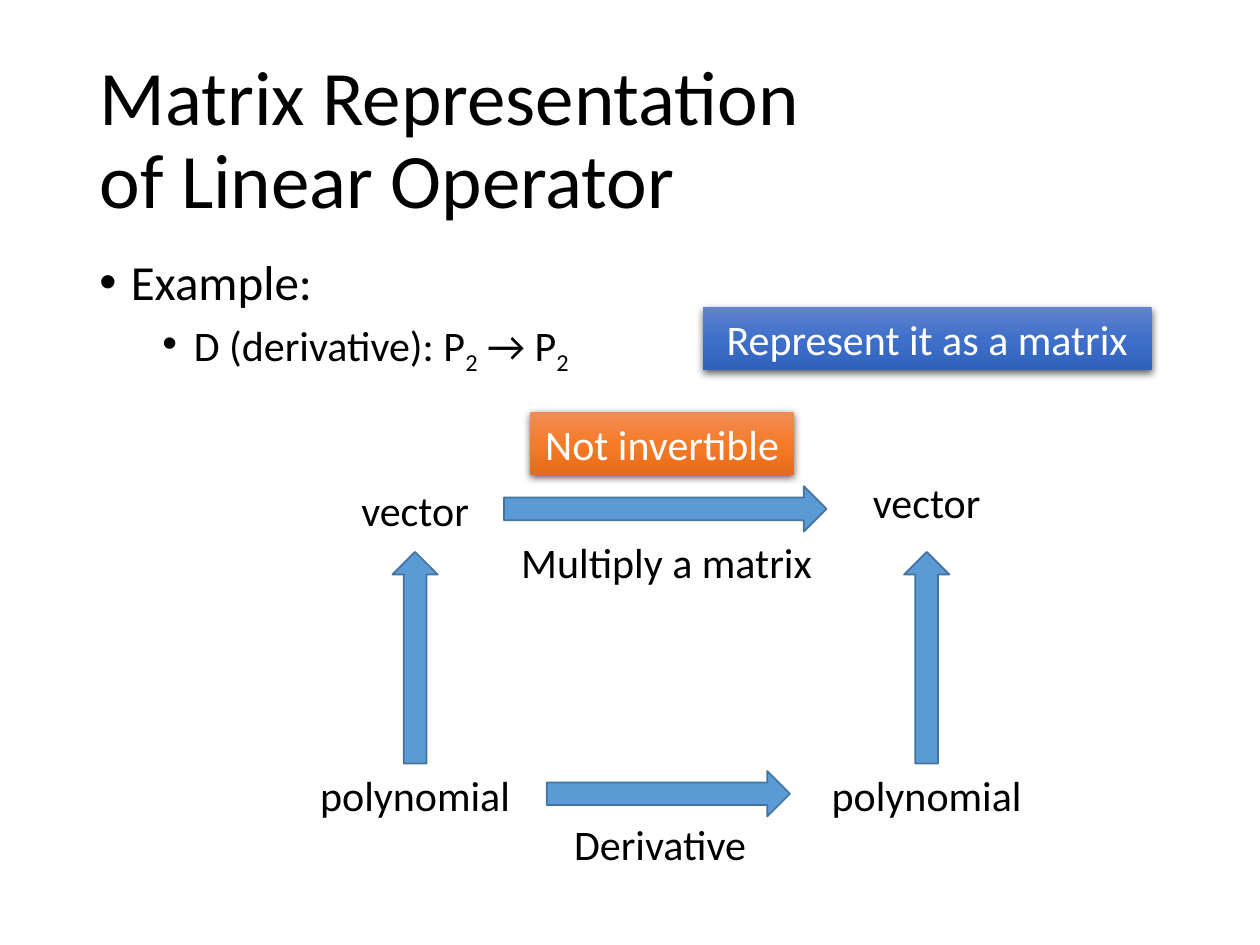
from dataclasses import dataclass
from lxml.etree import SubElement
from pptx import Presentation
from pptx.dml.color import RGBColor as RGB
from pptx.enum.shapes import MSO_SHAPE as Shape
from pptx.enum.text import MSO_ANCHOR as Anchor, MSO_AUTO_SIZE as Fit, PP_ALIGN as Align
from pptx.oxml import parse_xml
from pptx.oxml.ns import nsdecls, qn
from pptx.util import Inches, Pt


@dataclass(frozen=True)
class Theme:
    font: str = "Calibri"
    head: int = 44
    lead: int = 28
    text: int = 24
    ink: str = "000000"
    pale: str = "FFFFFF"
    arrow: str = "5B9BD5"
    edge: str = "43739E"
    blue: tuple = ("6183CB", "3E70CA", "3062BB")
    orange: tuple = ("F18C57", "F67B28", "E56C19")


T = Theme()
COLS, ROWS = 100, 75  # grid cells are a tenth of an inch
CELL = Inches(10) // COLS
LINE = 5  # rows in a one-line label


def cells(*nums):
    return [round(n * CELL) for n in nums]


def inside(box, x, y, w, h):
    """Grid place of a part, offset from the corner of its box."""
    return cells(box[0] + x, box[1] + y, w, h)


def style(font, size, color=T.ink):
    font.name, font.size = T.font, Pt(size)
    font.color.rgb = RGB.from_string(color)


def write(shape, text, color=T.ink):
    frame = shape.text_frame
    frame.word_wrap = True
    frame.text = text
    para = frame.paragraphs[0]
    para.alignment = Align.CENTER
    style(para.runs[0].font, T.text, color)


def label(slide, place, text):
    write(slide.shapes.add_textbox(*place), text)


def arrow(slide, place, turn=0):
    shape = slide.shapes.add_shape(Shape.RIGHT_ARROW, *place)
    shape.shadow.inherit = False
    shape.fill.solid()
    shape.fill.fore_color.rgb = RGB.from_string(T.arrow)
    shape.line.color.rgb = RGB.from_string(T.edge)
    shape.line.width = Pt(1)
    shape.rotation = turn


def badge(slide, place, text, shades):
    shape = slide.shapes.add_shape(Shape.RECTANGLE, *place)
    shape.line.fill.background()
    # Three-stop gradient and soft shadow below
    stops = "".join(f'<a:gs pos="{i * 50000}"><a:srgbClr val="{c}"/></a:gs>'
                    for i, c in enumerate(shades))
    fill = parse_xml(f'<a:gradFill {nsdecls("a")} rotWithShape="1"><a:gsLst>{stops}</a:gsLst>'
                     '<a:lin ang="5400000" scaled="0"/></a:gradFill>')
    glow = parse_xml(f'<a:effectLst {nsdecls("a")}><a:outerShdw blurRad="{Pt(4.5)}" '
                     f'dist="{Pt(1.5)}" dir="5400000" algn="ctr" rotWithShape="0">'
                     '<a:srgbClr val="000000"><a:alpha val="63000"/></a:srgbClr>'
                     '</a:outerShdw></a:effectLst>')
    props = shape.element.spPr
    props.find(qn("a:prstGeom")).addnext(fill)
    props.append(glow)
    write(shape, text, T.pale)


def title(slide, box):
    shape = slide.shapes.title
    shape.left, shape.top, shape.width, shape.height = cells(*box)
    frame = shape.text_frame
    frame.text = "Matrix Representation \vof Linear Operator"
    frame.vertical_anchor, frame.auto_size = Anchor.MIDDLE, Fit.NONE
    para = frame.paragraphs[0]
    para.alignment, para.line_spacing = Align.LEFT, 0.9
    for run in para.runs:
        style(run.font, T.head)


def bullets(slide, box):
    frame = slide.shapes.add_textbox(*cells(*box)).text_frame
    frame.word_wrap = True
    items = [(["Example:"], T.lead, 0.25, 0),
             (["D (derivative): P", "2", " → P", "2"], T.text, 0.75, 5)]
    for i, (parts, size, left, gap) in enumerate(items):
        para = frame.add_paragraph() if i else frame.paragraphs[0]
        props = para._p.get_or_add_pPr()
        props.set("marL", str(Inches(left)))
        props.set("indent", str(-Inches(0.25)))
        SubElement(props, qn("a:buFont")).set("typeface", "Arial")
        SubElement(props, qn("a:buChar")).set("char", "•")
        para.level, para.line_spacing, para.space_before = i, 0.9, Pt(gap)
        for part in parts:
            run = para.add_run()
            run.text = part
            style(run.font, size)
            if part == "2":  # subscript
                run._r.get_or_add_rPr().set("baseline", "-25000")


def diagram(slide, box):
    node, rise, thick = 21.7, 16.8, 3.6
    # Corner nodes, with an arrow up each side
    for x, top in ((0, 5.3), (box[2] - node, 4.6)):
        label(slide, inside(box, x, 27.9, node, LINE), "polynomial")
        label(slide, inside(box, x, top, node, LINE), "vector")
        arrow(slide, inside(box, x + (node - rise) / 2, 17.7, rise, thick), 270)
    # Arrows across, each with its label
    arrow(slide, inside(box, 17.9, 5.9, 25.6, thick))
    label(slide, inside(box, 18.1, 9.4, 25.4, LINE), "Multiply a matrix")
    arrow(slide, inside(box, 21.3, 28.5, 19.3, thick))
    label(slide, inside(box, 21, 31.8, 18.6, LINE), "Derivative")
    badge(slide, inside(box, 20, 0, 20.9, LINE), "Not invertible", T.orange)


def main():
    deck = Presentation()
    deck.slide_width, deck.slide_height = cells(COLS, ROWS)
    slide = deck.slides.add_slide(deck.slide_layouts[5])
    title(slide, (6.9, 4, 86.2, 14.5))
    bullets(slide, (6.9, 20, 86.2, 47.6))
    badge(slide, cells(55.8, 24.4, 35.6, LINE), "Represent it as a matrix", T.blue)
    diagram(slide, (22.1, 32.7, 62.3, 36.8))
    deck.save("out.pptx")


if __name__ == "__main__":
    main()
